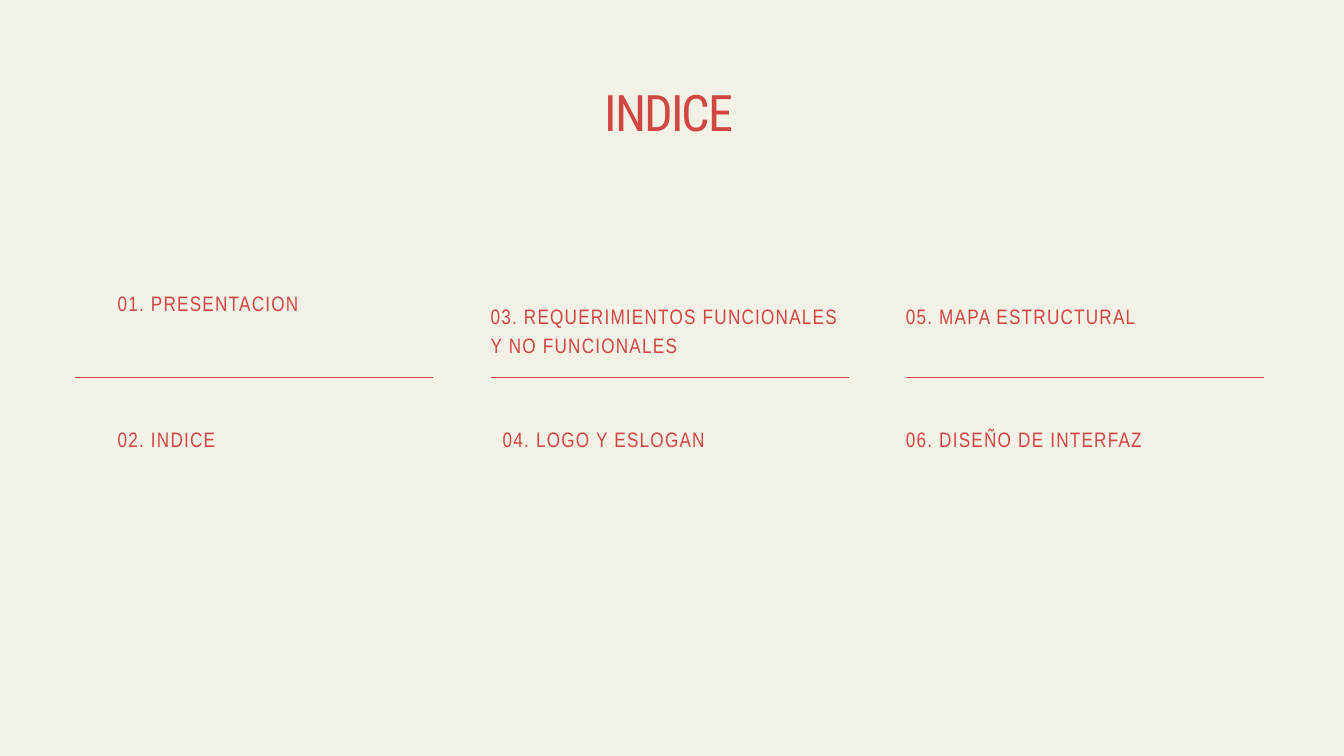
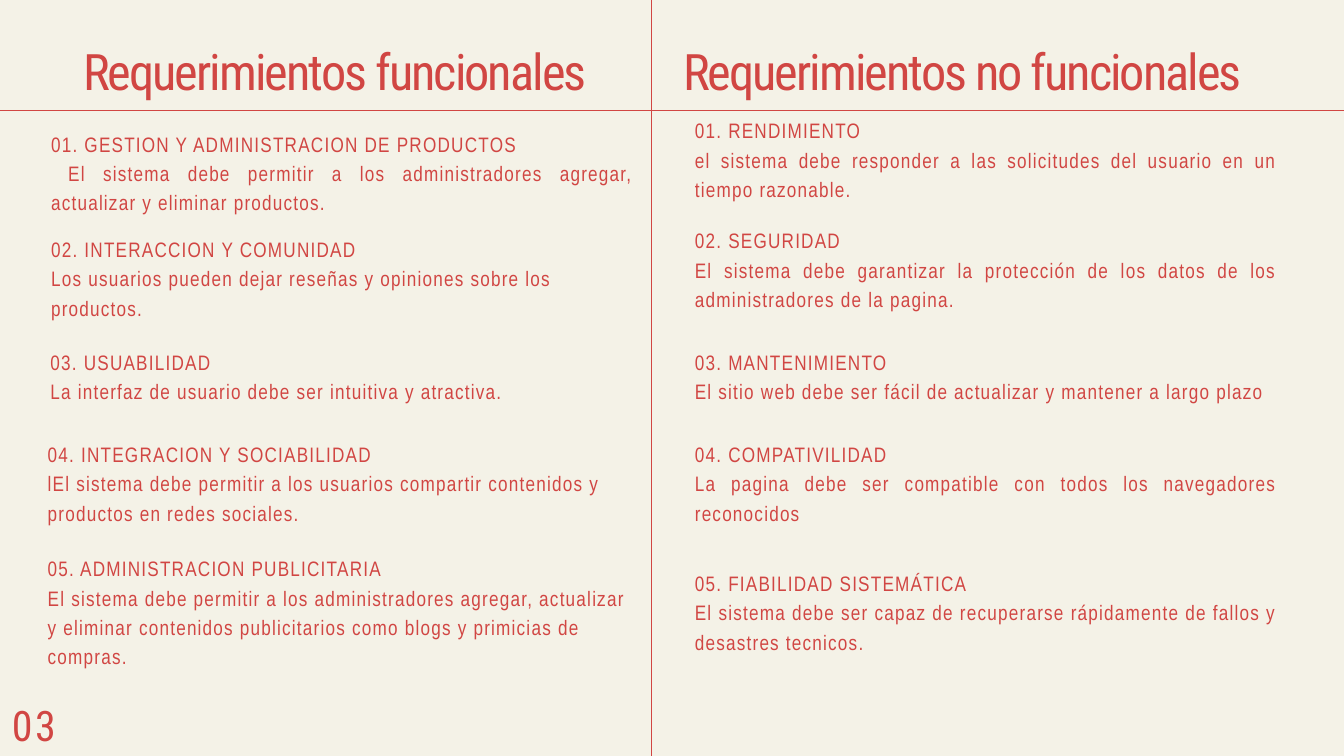
import pptx
import pptx.dml.color
import pptx.enum.shapes
import pptx.enum.text
import pptx.util
from lxml import etree
from pptx.oxml.ns import qn
from pptx.util import Inches

COLORS = {"paper": "F4F2E7", "red": "D14643"}
ALIGN = pptx.enum.text.PP_ALIGN
TITLE_ONLY = 5
SLIDE_W, SLIDE_H = 20, 11.25

# font, size, letter spacing and line spacing, all in points
HEADING = ("Roboto Condensed", 53.9, -2.1, 105.2)
PAGE_NUMBER = ("Roboto Condensed", 45, 2.6, 62.9)
BODY = ("Arial Narrow", 22.4, 1.3, 31.4)

TITLE_W, TITLE_H = 15.57, 1.44
ENTRY_W = 8.67
RULE_W = 5.33
BLEED = 21.55

# Each column: (left indent, top, width, text) of the entries above and below its rule
INDEX_COLUMNS = [
    [(0.63, 4.26, ENTRY_W, "01. PRESENTACION"),
     (0.63, 6.28, ENTRY_W, "02. INDICE")],
    [(0, 4.45, RULE_W, "03. REQUERIMIENTOS FUNCIONALES Y NO FUNCIONALES"),
     (0.18, 6.28, ENTRY_W, "04. LOGO Y ESLOGAN")],
    [(0, 4.45, ENTRY_W, "05. MAPA ESTRUCTURAL"),
     (0, 6.28, ENTRY_W, "06. DISEÑO DE INTERFAZ")],
]

# Each requirement: (left, top, height, alignment, name, description)
FUNCTIONAL = [
    (0.76, 1.89, 1.74, ALIGN.JUSTIFY, "01. GESTION Y ADMINISTRACION DE PRODUCTOS",
     " El sistema debe permitir a los administradores agregar, actualizar y "
     "eliminar productos."),
    (0.76, 3.46, 0.89, ALIGN.LEFT, "02. INTERACCION Y COMUNIDAD",
     "Los usuarios pueden dejar reseñas y opiniones sobre los productos."),
    (0.75, 5.14, 0.89, ALIGN.LEFT, "03. USUABILIDAD",
     "La interfaz de usuario debe ser intuitiva y atractiva."),
    (0.71, 6.51, 1.31, ALIGN.LEFT, "04. INTEGRACION Y SOCIABILIDAD",
     "lEl sistema debe permitir a los usuarios compartir contenidos y "
     "productos en redes sociales."),
    (0.71, 8.21, 2.17, ALIGN.LEFT, "05. ADMINISTRACION PUBLICITARIA",
     "El sistema debe permitir a los administradores agregar, actualizar y "
     "eliminar contenidos publicitarios como blogs y primicias de compras."),
]
NON_FUNCTIONAL = [
    (10.34, 1.69, 1.31, ALIGN.JUSTIFY, "01. RENDIMIENTO",
     "el sistema debe responder a las solicitudes del usuario en un tiempo razonable."),
    (10.34, 3.33, 2.17, ALIGN.JUSTIFY, "02. SEGURIDAD",
     "El sistema debe garantizar la protección de los datos de los "
     "administradores de la pagina."),
    (10.34, 5.14, 0.89, ALIGN.JUSTIFY, "03. MANTENIMIENTO",
     "El sitio web debe ser fácil de actualizar y mantener a largo plazo "),
    (10.34, 6.51, 1.74, ALIGN.JUSTIFY, "04. COMPATIVILIDAD ",
     "La pagina debe ser compatible con todos los navegadores reconocidos"),
    (10.34, 8.43, 1.31, ALIGN.JUSTIFY, "05. FIABILIDAD SISTEMÁTICA ",
     "El sistema debe ser capaz de recuperarse rápidamente de fallos y "
     "desastres tecnicos."),
]


def rgb(name):
    return pptx.dml.color.RGBColor.from_string(COLORS[name])


def write(frame, lines, style, align):
    """Fill a text frame with one styled paragraph per line."""
    font_name, size, letter_spacing, line_spacing = style
    frame.margin_left = frame.margin_top = frame.margin_right = frame.margin_bottom = 0
    frame.word_wrap = True
    frame.auto_size = pptx.enum.text.MSO_AUTO_SIZE.SHAPE_TO_FIT_TEXT
    frame.vertical_anchor = pptx.enum.text.MSO_ANCHOR.TOP
    for number, line in enumerate(lines):
        paragraph = frame.add_paragraph() if number else frame.paragraphs[0]
        paragraph.alignment = align
        paragraph.line_spacing = pptx.util.Pt(line_spacing)
        paragraph.space_before = pptx.util.Pt(0)
        run = paragraph.add_run()
        run.text = line
        run.font.name = font_name
        run.font.size = pptx.util.Pt(size)
        run.font.color.rgb = rgb("red")
        run._r.get_or_add_rPr().set("spc", str(round(letter_spacing * 100)))


def add_text(slide, box, lines, style, align=ALIGN.LEFT):
    label = slide.shapes.add_textbox(*map(Inches, box))
    write(label.text_frame, lines, style, align)


def add_rule(slide, start, end):
    rule = slide.shapes.add_connector(
        pptx.enum.shapes.MSO_CONNECTOR.STRAIGHT, *map(Inches, start + end))
    rule.line.color.rgb = rgb("red")
    rule.line.width = pptx.util.Pt(0.75)
    etree.SubElement(rule._element.spPr, qn("a:effectLst"))


def add_titled_slide(deck, title, left, top):
    slide = deck.slides.add_slide(deck.slide_layouts[TITLE_ONLY])
    heading = slide.shapes.title
    heading.left, heading.top = Inches(left), Inches(top)
    heading.width, heading.height = Inches(TITLE_W), Inches(TITLE_H)
    write(heading.text_frame, [title], HEADING, ALIGN.CENTER)
    return slide


def add_index_column(slide, left, entries):
    add_rule(slide, (left, 5.62), (left + RULE_W, 5.62))
    for indent, top, width, entry in entries:
        add_text(slide, (left + indent, top, width, 0.46), [entry], BODY)


def add_index_slide(deck):
    slide = add_titled_slide(deck, "INDICE ", 2.24, 0.65)
    for column, entries in enumerate(INDEX_COLUMNS):
        add_index_column(slide, 1.12 + 6.18 * column, entries)


def add_requirements(slide, requirements):
    for left, top, height, align, name, description in requirements:
        add_text(slide, (left, top, ENTRY_W, height), [name, description], BODY, align)


def add_requirements_slide(deck):
    slide = add_titled_slide(deck, "Requerimientos funcionales ", -2.73, 0.04)
    add_text(slide, (6.61, 0.04, TITLE_W, TITLE_H),
             ["Requerimientos no funcionales "], HEADING, ALIGN.CENTER)
    add_rule(slide, (-0.52, 1.64), (BLEED - 0.52, 1.64))
    add_rule(slide, (9.69, 12.41), (9.69, 12.41 - BLEED))
    add_requirements(slide, FUNCTIONAL)
    add_requirements(slide, NON_FUNCTIONAL)
    add_text(slide, (-0.52, 10.29, 2.05, 0.93), ["03"], PAGE_NUMBER, ALIGN.CENTER)


def main():
    deck = pptx.Presentation()
    deck.slide_width, deck.slide_height = Inches(SLIDE_W), Inches(SLIDE_H)
    paper = deck.slide_master.background.fill
    paper.solid()
    paper.fore_color.rgb = rgb("paper")
    add_index_slide(deck)
    add_requirements_slide(deck)
    deck.save("out.pptx")


if __name__ == "__main__":
    main()
